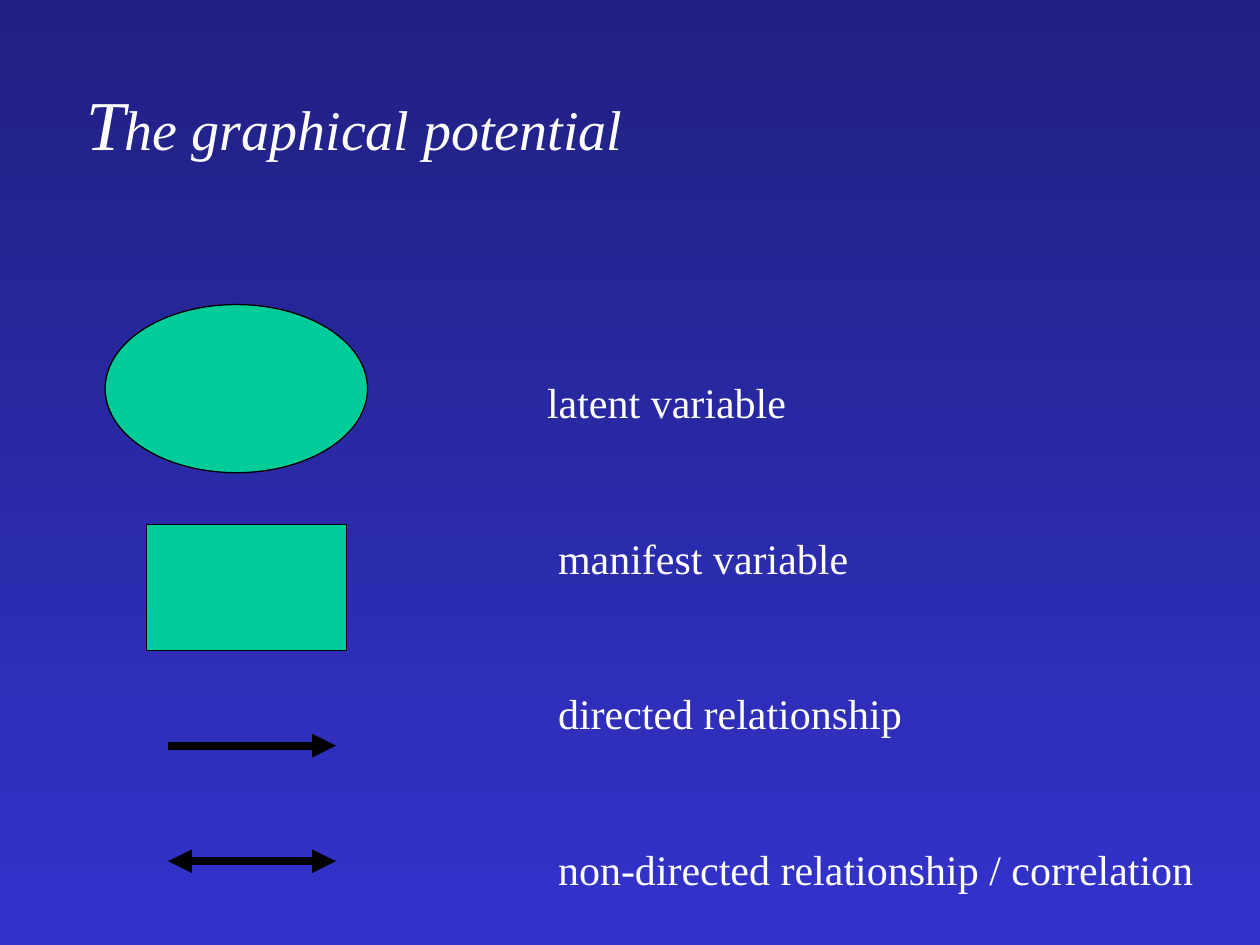
from lxml import etree
from pptx import Presentation
from pptx.dml.color import RGBColor
from pptx.enum.shapes import MSO_CONNECTOR, MSO_SHAPE
from pptx.enum.text import MSO_ANCHOR, MSO_AUTO_SIZE, PP_ALIGN
from pptx.oxml.ns import qn
from pptx.util import Cm, Pt

ELLIPSE, RECT = MSO_SHAPE.OVAL, MSO_SHAPE.RECTANGLE
STRAIGHT = MSO_CONNECTOR.STRAIGHT
BOTTOM, LEFT = MSO_ANCHOR.BOTTOM, PP_ALIGN.LEFT
NO_AUTOFIT = MSO_AUTO_SIZE.NONE
FONT = "Times New Roman"
COLORS = {"top": "202082", "bottom": "3333CC", "symbol": "00CC99",
          "line": "000000", "text": "FFFFFF"}


def rgb(name):
    return RGBColor.from_string(COLORS[name])


def add_run(p, text, size, italic=False):
    r = p.add_run()
    r.text = text
    r.font.name = FONT
    r.font.size = Pt(size)
    r.font.italic = italic
    r.font.color.rgb = rgb("text")


prs = Presentation()
prs.slide_width, prs.slide_height = Cm(25.4), Cm(19.05)
s = prs.slides.add_slide(prs.slide_layouts[5])

# Background gradient, top to bottom
fill = s.background.fill
fill.gradient()
fill.gradient_angle = 270
for stop, name in zip(fill.gradient_stops, ("top", "bottom")):
    stop.color.rgb = rgb(name)

# Title
sp = s.shapes.title
sp.left, sp.top, sp.width, sp.height = Cm(1.48), Cm(1.48), Cm(22.43), Cm(1.96)
tf = sp.text_frame
tf.auto_size = NO_AUTOFIT
tf.vertical_anchor = BOTTOM
p = tf.paragraphs[0]
p.alignment = LEFT
add_run(p, "T", 40, italic=True)
add_run(p, "he graphical potential", 32, italic=True)

# Descriptions, one paragraph per symbol
labels = [
    ("latent variable", 9.3),
    ("manifest variable", 9.52),
    ("directed relationship", 9.52),
    ("non-directed relationship / correlation", 9.52),
]
sp = s.shapes.add_textbox(Cm(1.48), Cm(6.05), Cm(23.92), Cm(12.09))
tf = sp.text_frame
tf.word_wrap = True
tf.vertical_anchor = BOTTOM
for i, (text, indent) in enumerate(labels):
    p = tf.paragraphs[0] if i == 0 else tf.add_paragraph()
    p.alignment = LEFT
    p.space_before = Pt(60 if i else 0)
    p._p.get_or_add_pPr().set("marL", str(Cm(indent)))
    add_run(p, text, 24)

# Variable symbols
for kind, x, y, w, h in [(ELLIPSE, 2.12, 6.14, 5.29, 3.39),
                         (RECT, 2.96, 10.58, 4.02, 2.54)]:
    sp = s.shapes.add_shape(kind, Cm(x), Cm(y), Cm(w), Cm(h))
    sp.shadow.inherit = False
    sp.fill.solid()
    sp.fill.fore_color.rgb = rgb("symbol")
    sp.line.color.rgb = rgb("line")
    sp.line.width = Pt(0.75)

# Relationship arrows
for y, ends in [(15.03, ["tailEnd"]), (17.36, ["headEnd", "tailEnd"])]:
    cx = s.shapes.add_connector(STRAIGHT, Cm(3.39), Cm(y), Cm(6.77), Cm(y))
    cx.line.color.rgb = rgb("line")
    cx.line.width = Pt(4.5)
    ln = cx.line._get_or_add_ln()
    for end in ends:
        etree.SubElement(ln, qn(f"a:{end}"), type="triangle")
    etree.SubElement(cx._element.spPr, qn("a:effectLst"))

prs.save("out.pptx")
